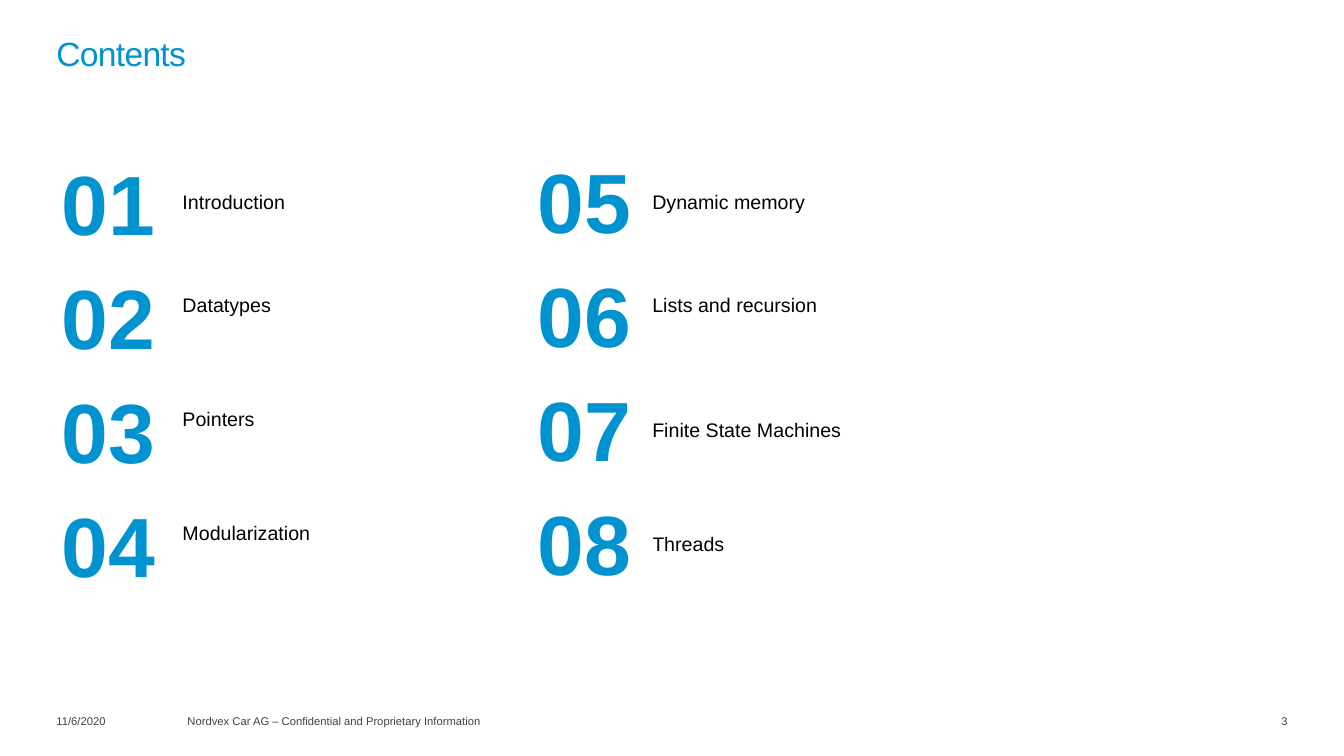
from dataclasses import dataclass

from pptx import Presentation
from pptx.dml.color import RGBColor
from pptx.enum.text import MSO_ANCHOR as Anchor, PP_ALIGN as Align
from pptx.slide import Slide
from pptx.util import Inches, Pt

BLUE, GRAY, BLACK = "0093D0", "414141", "000000"
FONT = "Arial"
ROW_COUNT = 4
ROW_HEIGHT = 1.06
COLUMN_WIDTHS = (1.2, 3.52, 1.14, 3.58)
NUMBER_TOPS = (0.13, 0.09)  # top margin of the numbers, left and right half


@dataclass
class Chapter:
    title: str
    raise_by: float = 0  # bottom margin that lifts the title


@dataclass
class Label:
    text: str
    left: float
    width: float
    align: Align = Align.LEFT


CHAPTERS = (
    Chapter("Introduction"),
    Chapter("Datatypes", 0.22),
    Chapter("Pointers", 0.22),
    Chapter("Modularization", 0.22),
    Chapter("Dynamic memory"),
    Chapter("Lists and recursion", 0.22),
    Chapter("Finite State Machines"),
    Chapter("Threads"),
)
FOOTERS = (
    Label("11/6/2020", 0.56, 1.31),
    Label("Nordvex Car AG – Confidential and Proprietary Information", 1.86, 8.43),
    Label("3", 12.22, 0.55, Align.RIGHT),
)


def color(value: str) -> RGBColor:
    return RGBColor.from_string(value)


def write(frame, text: str, *, size: float, fill: str, bold: bool = False,
          align: Align = Align.LEFT, line: float | None = None, tracking: float = 0) -> None:
    """Put one formatted paragraph into a text frame; line and tracking are in points."""
    para = frame.paragraphs[0]
    para.alignment = align
    if line:
        para.line_spacing = Pt(line)
    span = para.add_run()
    span.text = text
    span.font.name = FONT
    span.font.size = Pt(size)
    span.font.bold = bold
    span.font.color.rgb = color(fill)
    if tracking:
        span.font._element.set("spc", str(round(tracking * 100)))


def set_margins(holder, left: float, top: float, right: float, bottom: float) -> None:
    holder.margin_left, holder.margin_top = Inches(left), Inches(top)
    holder.margin_right, holder.margin_bottom = Inches(right), Inches(bottom)


def add_label(page: Slide, label: Label, top: float, height: float, anchor: Anchor, **style) -> None:
    box = page.shapes.add_textbox(Inches(label.left), Inches(top), Inches(label.width), Inches(height))
    frame = box.text_frame
    frame.word_wrap = True
    frame.vertical_anchor = anchor
    set_margins(frame, 0, 0, 0, 0)
    write(frame, label.text, align=label.align, **style)


def fill_cell(cell, text: str, margins: tuple[float, float, float, float], **style) -> None:
    cell.fill.background()
    cell.vertical_anchor = Anchor.MIDDLE
    set_margins(cell, *margins)
    write(cell.text_frame, text, **style)


def add_contents(page: Slide) -> None:
    table = page.shapes.add_table(
        ROW_COUNT, len(COLUMN_WIDTHS), Inches(0.61), Inches(1.42),
        Inches(sum(COLUMN_WIDTHS)), Inches(ROW_COUNT * ROW_HEIGHT)).table
    table.first_row = table.horz_banding = False
    for column, width in zip(table.columns, COLUMN_WIDTHS):
        column.width = Inches(width)
    for row in table.rows:
        row.height = Inches(ROW_HEIGHT)
    for index, chapter in enumerate(CHAPTERS):
        half, row = divmod(index, ROW_COUNT)
        fill_cell(table.cell(row, 2 * half), f"{index + 1:02}", (0, NUMBER_TOPS[half], 0, 0),
                  size=60, fill=BLUE, bold=True)
        fill_cell(table.cell(row, 2 * half + 1), chapter.title, (0, 0.05, 0.1, chapter.raise_by),
                  size=14, fill=BLACK)


def main() -> None:
    deck = Presentation()
    deck.slide_width, deck.slide_height = Inches(13.33), Inches(7.5)
    page = deck.slides.add_slide(deck.slide_layouts[6])
    add_label(page, Label("Contents", 0.56, 9.73), 0.28, 0.55, Anchor.TOP,
              size=24, fill=BLUE, line=32, tracking=-0.5)
    add_contents(page)
    for footer in FOOTERS:
        add_label(page, footer, 6.95, 0.27, Anchor.BOTTOM, size=8, fill=GRAY)
    deck.save("out.pptx")


if __name__ == "__main__":
    main()
